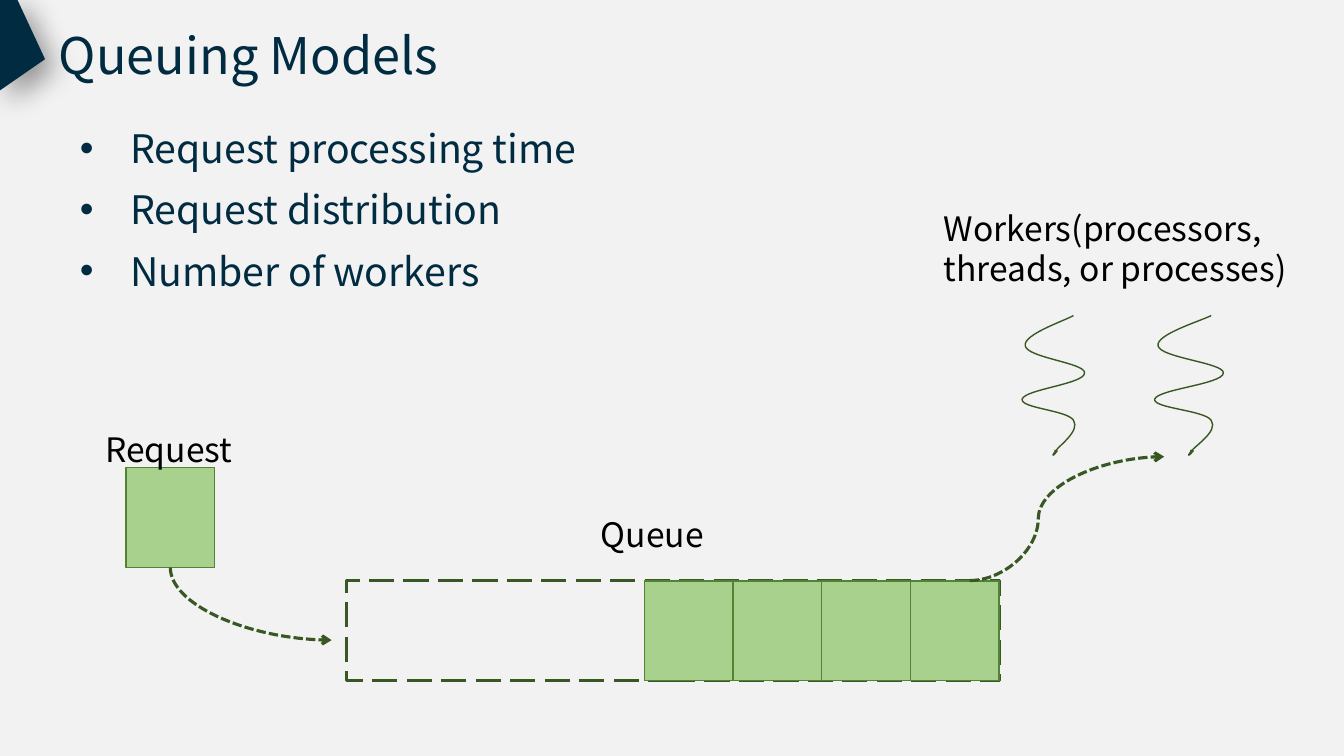
import pptx
import pptx.util
import pptx.dml.color
import pptx.enum.dml
import pptx.enum.shapes
import pptx.enum.text
import pptx.oxml
import pptx.oxml.ns

Pt = pptx.util.Pt
qn = pptx.oxml.ns.qn
DASH = pptx.enum.dml.MSO_LINE
COLOURS = {"paper": "F2F2F2", "navy": "002B41", "text": "000000",
           "tile": "A9D18E", "tile_edge": "548235", "flow": "385723"}
FONT = "Noto Sans CJK SC"

# Content: text boxes as lines, place, wrap and format (points)
TITLE = {"lines": ["Queuing Models"], "at": (35, 13.7, 301.7, 51.1),
         "wrap": False, "size": 36, "colour": "navy"}
FACTORS = {"lines": ["Request processing time", "Request distribution",
                     "Number of workers"],
           "at": (50, 75.4, 607.7, 139.7), "wrap": True, "size": 28,
           "colour": "navy", "bullets": True}
LABELS = [
    {"lines": ["Workers(processors, threads, or processes)"],
     "at": (666.9, 144.7, 267.1, 65.5), "wrap": True, "size": 24, "colour": "text"},
    {"lines": ["Request"], "at": (68.2, 303.1, 106.6, 36),
     "wrap": False, "size": 24, "colour": "text"},
    {"lines": ["Queue"], "at": (422.1, 363.6, 90.7, 36),
     "wrap": False, "size": 24, "colour": "text"},
]
FLAG = [(12.2, -0.7), (0, -0.7), (0, 64.6), (32.2, 42.3)]
TILE_WIDTH, TILE_HEIGHT = 63.36, 71.3
REQUEST = (90, 334.1)
QUEUE = (247.7, 414.7, 466.2, TILE_HEIGHT)
TILES_RIGHT, TILES_TOP = 713.7, 414.9
WAITING = 4

# Worker thread: start point, then three points per Bezier curve
THREAD = [(36.7, 225.4),
          (28.8, 229.7), (0.7, 239), (2.2, 247),
          (3.6, 255.6), (45.4, 259.2), (44.6, 266.4),
          (44.6, 274.3), (2.2, 278), (0, 285.1),
          (-1.4, 291.6), (32.4, 293), (36.7, 300.2),
          (41.8, 308.2), (25.2, 319), (23, 323.3),
          (20.2, 327.6), (24.5, 323.3), (24.5, 322.6),
          (25.2, 322.6), (25.2, 321.8), (24.5, 321.8),
          (24.5, 321.8), (23, 321.8), (23, 321.8)]
WORKERS = [(730.1, 1), (824.8, 1.1)]  # left edge, horizontal stretch

# Flow arrows: begin, end, preset, rotation, bend
ARROWS = [
    ((153.4, 488.9), (205.2, 373.7), "curvedConnector2", 90, None),
    ((692.6, 414.7), (831.6, 326.2), "curvedConnector3", 0, 35300),
]

deck = pptx.Presentation()
deck.slide_width, deck.slide_height = Pt(960), Pt(540)
page = deck.slides.add_slide(deck.slide_layouts[6])


def rgb(name):
    return pptx.dml.color.RGBColor.from_string(COLOURS[name])


def element(xml):
    return pptx.oxml.parse_xml(xml.replace(" ", f' {pptx.oxml.ns.nsdecls("a")} ', 1))


def style_line(line, colour, width, dash=None):
    line.color.rgb = rgb(colour)
    for name, value in {"width": Pt(width), "dash_style": dash}.items():
        setattr(line, name, value)


def add_text(lines, at, wrap, size, colour, bullets=False):
    box = page.shapes.add_textbox(*map(Pt, at))
    frame = box.text_frame
    frame.word_wrap = wrap
    frame.auto_size = pptx.enum.text.MSO_AUTO_SIZE.SHAPE_TO_FIT_TEXT
    for index, line in enumerate(lines):
        para = frame.add_paragraph() if index else frame.paragraphs[0]
        if bullets:
            para.line_spacing = 1.3
            props = para._p.get_or_add_pPr()
            props.set("marL", str(Pt(36)))
            props.set("indent", str(-Pt(36)))
            props.append(element('<a:buFont typeface="Arial"/>'))
            props.append(element('<a:buChar char="•"/>'))
        span = para.add_run()
        span.text = line
        for name, value in {"name": FONT, "size": Pt(size)}.items():
            setattr(span.font, name, value)
        span.font.color.rgb = rgb(colour)


def add_outline(points, close):
    points = [(Pt(x), Pt(y)) for x, y in points]
    builder = page.shapes.build_freeform(*points[0])
    builder.add_line_segments(points[1:], close=close)
    outline = builder.convert_to_shape()
    outline.shadow.inherit = False
    return outline


def bend_outline(outline):
    """Turn every three line segments into one cubic curve."""
    segments = list(outline._element.iter(qn("a:lnTo")))
    for first in range(0, len(segments), 3):
        curve = element("<a:cubicBezTo />")
        segments[first].addprevious(curve)
        for segment in segments[first:first + 3]:
            curve.append(segment[0])
            segment.getparent().remove(segment)


def add_rectangle(left, top, width, height):
    box = page.shapes.add_shape(pptx.enum.shapes.MSO_SHAPE.RECTANGLE,
                                *map(Pt, (left, top, width, height)))
    box.shadow.inherit = False
    return box


def add_tile(left, top):
    tile = add_rectangle(left, top, TILE_WIDTH, TILE_HEIGHT)
    tile.fill.solid()
    tile.fill.fore_color.rgb = rgb("tile")
    style_line(tile.line, "tile_edge", 1)


# Background, title and corner flag
page.background.fill.solid()
page.background.fill.fore_color.rgb = rgb("paper")
add_text(**TITLE)
flag = add_outline(FLAG, True)
flag.fill.solid()
flag.fill.fore_color.rgb = rgb("navy")
flag.line.fill.background()
effects = flag._element.spPr.find(qn("a:effectLst"))
effects.append(element(
    f'<a:outerShdw blurRad="{Pt(20)}" dist="{Pt(10)}" dir="2700000" algn="tl" '
    'rotWithShape="0"><a:srgbClr val="000000"><a:alpha val="40000"/></a:srgbClr>'
    '</a:outerShdw>'))

# Bullets
add_text(**FACTORS)

# Workers
for left, stretch in WORKERS:
    worker = add_outline([(left + stretch * x, y) for x, y in THREAD], False)
    bend_outline(worker)
    worker.fill.background()
    style_line(worker.line, "flow", 1)

# Queue, its waiting requests and the incoming request
queue = add_rectangle(*QUEUE)
queue.fill.background()
style_line(queue.line, "flow", 2.25, DASH.LONG_DASH)
for place in range(1, WAITING + 1):
    add_tile(TILES_RIGHT - place * TILE_WIDTH, TILES_TOP)
add_tile(*REQUEST)

# Labels
for label in LABELS:
    add_text(**label)

# Flow arrows
for begin, end, preset, rotation, bend in ARROWS:
    arrow = page.shapes.add_connector(pptx.enum.shapes.MSO_CONNECTOR.CURVE,
                                      *map(Pt, begin + end))
    style_line(arrow.line, "flow", 2.25, DASH.SQUARE_DOT)
    arrow.line._get_or_add_ln().append(element('<a:tailEnd type="arrow"/>'))
    props = arrow._element.spPr
    props.append(element("<a:effectLst />"))
    props.xfrm.set("rot", str(rotation * 60000))
    geometry = props.find(qn("a:prstGeom"))
    geometry.set("prst", preset)
    if bend:
        geometry.find(qn("a:avLst")).append(
            element(f'<a:gd name="adj1" fmla="val {bend}"/>'))

deck.save("out.pptx")
